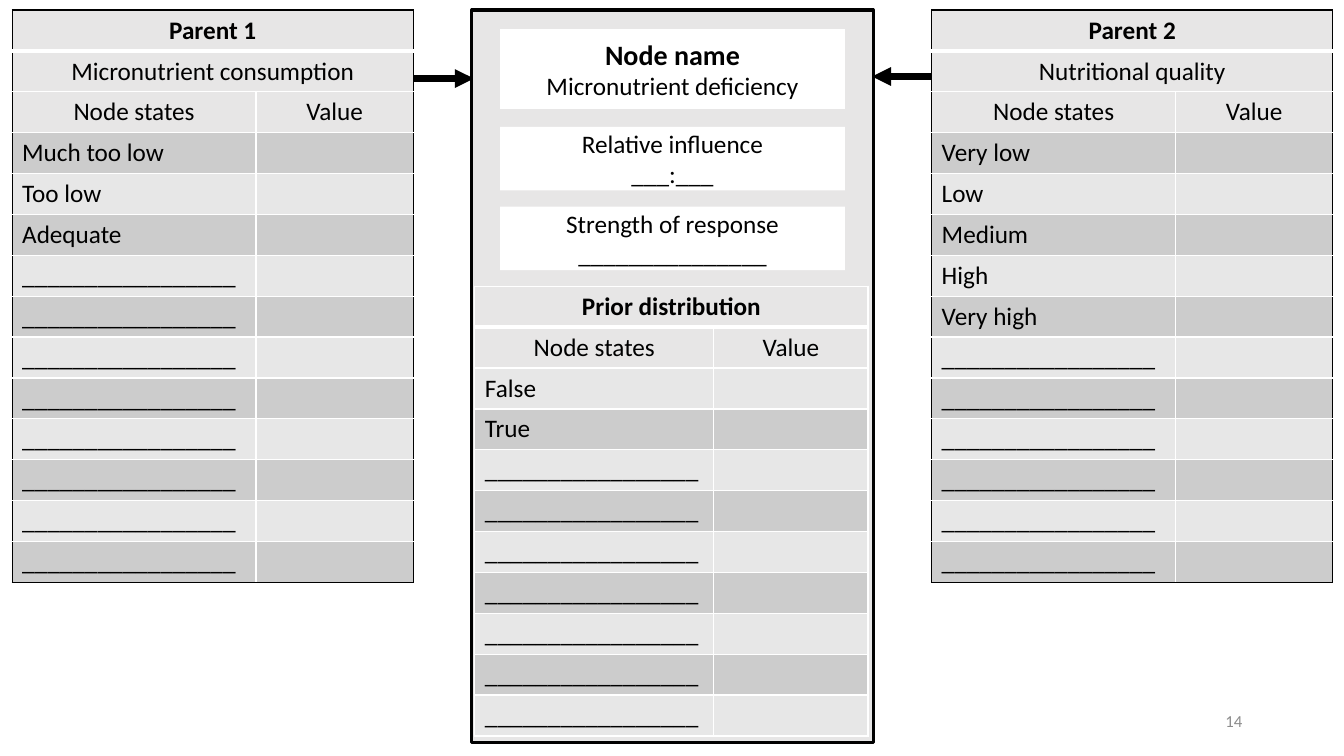
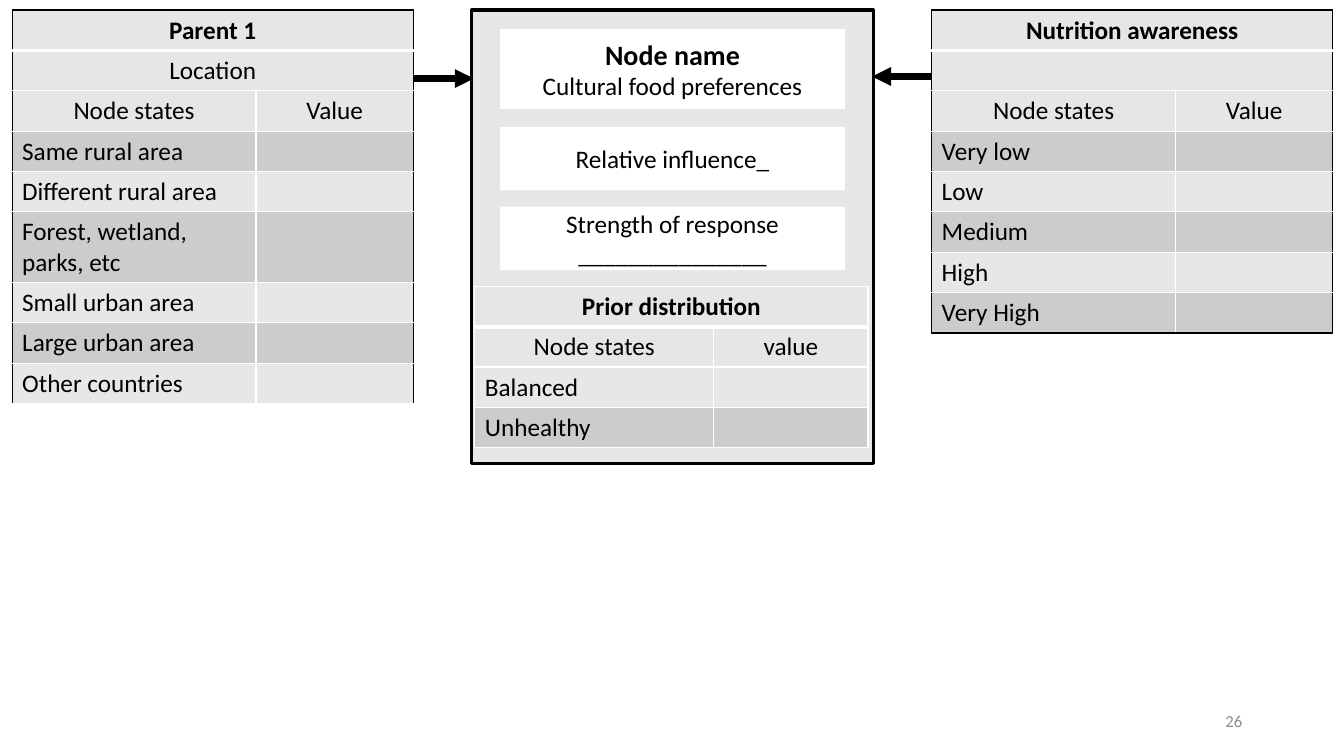
from lxml.etree import SubElement
from pptx import Presentation
from pptx.dml.color import RGBColor
from pptx.enum.shapes import MSO_CONNECTOR as Connector, MSO_SHAPE as Shape
from pptx.enum.text import MSO_ANCHOR as Anchor, PP_ALIGN as Align
from pptx.oxml.ns import qn
from pptx.util import Inches, Pt

COLORS = {
    "ink": "000000",
    "paper": "FFFFFF",
    "head": "E7E6E6",
    "light": "E7E7E7",
    "dark": "CCCCCC",
    "number": "8C8C8C",
}
FONT = "Calibri"
TOP = 0.1
PANEL_WIDTH = 3.98
PANEL_LEFTS = [0.12 + 4.56 * i for i in range(3)]
ROW_HEIGHT = 0.4
BLANK = "_" * 17


def rgb(name):
    return RGBColor.from_string(COLORS[name])


def write(paragraph, text, size=18, bold=False, color="ink", align=Align.CENTER):
    paragraph.alignment = align
    paragraph.font.size = Pt(size)
    if text:
        run = paragraph.add_run()
        run.text = text
        run.font.name = FONT
        run.font.size = Pt(size)
        run.font.bold = bold
        run.font.color.rgb = rgb(color)


def set_border(cell, **sides):
    """Draw cell edges; each side (L, R, T, B) is a (color, points) pair."""
    properties = cell._tc.get_or_add_tcPr()
    for side in "LRTB":
        color, points = sides[side]
        edge = SubElement(properties, qn(f"a:ln{side}"), w=str(Pt(points)))
        fill = SubElement(edge, qn("a:solidFill"))
        SubElement(fill, qn("a:srgbClr"), val=COLORS[color])


class NodeDeck:
    def __init__(self):
        self.deck = Presentation()
        self.deck.slide_width = Inches(13.33)
        self.deck.slide_height = Inches(7.5)
        self.slide = None

    def new_slide(self):
        self.slide = self.deck.slides.add_slide(self.deck.slide_layouts[6])

    def box(self, left, top, width, height, fill, outline=None):
        box = self.slide.shapes.add_shape(
            Shape.RECTANGLE, Inches(left), Inches(top), Inches(width), Inches(height))
        box.shadow.inherit = False
        box.fill.solid()
        box.fill.fore_color.rgb = rgb(fill)
        if outline:
            box.line.color.rgb = rgb("ink")
            box.line.width = Pt(outline)
        else:
            box.line.fill.background()
        return box

    def card(self, top, height, lines):
        """White box in the centre panel; lines are (text, format) pairs."""
        card = self.box(PANEL_LEFTS[1] + 0.28, top, 3.42, height, "paper")
        frame = card.text_frame
        frame.word_wrap = True
        frame.vertical_anchor = Anchor.MIDDLE
        for i, (text, style) in enumerate(lines):
            write(frame.add_paragraph() if i else frame.paragraphs[0], text, **style)

    def arrow(self, start, end):
        arrow = self.slide.shapes.add_connector(
            Connector.ELBOW, *(Inches(value) for value in start + end))
        arrow.line.color.rgb = rgb("ink")
        arrow.line.width = Pt(4.5)
        properties = arrow.element.spPr
        SubElement(properties.find(qn("a:ln")), qn("a:tailEnd"), type="triangle")
        SubElement(properties, qn("a:effectLst"))

    def state_table(self, left, top, widths, headings, states, edge="paper", closed=True):
        """Headings span both columns, then come the column titles and the states.

        An open table keeps a white bottom edge.
        """
        titles_row = len(headings) - 1
        rows = [*headings, *((state, "") for state in states)]
        table = self.slide.shapes.add_table(
            len(rows), 2, Inches(left), Inches(top),
            Inches(sum(widths)), Inches(ROW_HEIGHT * len(rows))).table
        table.first_row = table.horz_banding = False
        for column, width in zip(table.columns, widths):
            column.width = Inches(width)
        for r, texts in enumerate(rows):
            table.rows[r].height = Inches(ROW_HEIGHT)
            merged = len(texts) == 1
            if merged:
                table.cell(r, 0).merge(table.cell(r, 1))
            is_heading = r <= titles_row
            fill = "head" if is_heading else "dark" if r % 2 else "light"
            last = r == len(rows) - 1
            for c in range(2):
                cell = table.cell(r, c)
                set_border(
                    cell,
                    L=(edge if c == 0 else "paper", 1),
                    R=(edge if c or merged else "paper", 1),
                    T=(edge if r == 0 else "paper", 3 if r == 1 else 1),
                    B=(edge if last and closed else "paper", 3 if r == 0 else 1))
                cell.fill.solid()
                cell.fill.fore_color.rgb = rgb(fill)
                if c < len(texts):
                    write(cell.text_frame.paragraphs[0], texts[c], bold=r == 0,
                          align=Align.CENTER if is_heading else Align.LEFT)

    def parent(self, left, title, subject, states, closed=True):
        headings = [(title,), (subject,), ("Node states", "Value")]
        self.state_table(left, TOP, (2.42, 1.56), headings, states, "ink", closed)

    def page_number(self, number):
        frame = self.slide.shapes.add_textbox(
            Inches(9.42), Inches(6.95), Inches(3), Inches(0.4)).text_frame
        frame.word_wrap = True
        frame.vertical_anchor = Anchor.MIDDLE
        write(frame.paragraphs[0], str(number), size=12, color="number", align=Align.RIGHT)

    def node_slide(self, number, node, influence, panel_height, parents, prior, value_title):
        self.new_slide()
        self.arrow((3.13, 0.85), (4.7, 0.78))
        self.arrow((10.03, 0.78), (8.65, 0.76))
        center = PANEL_LEFTS[1]
        self.box(center, TOP, PANEL_WIDTH, panel_height, "head", outline=2.25)
        self.card(0.29, 0.79, [("Node name", {"size": 20, "bold": True}), (node, {})])
        self.card(1.26, 0.63, [(line, {}) for line in influence])
        self.card(2.05, 0.63, [("Strength of response", {}), ("_" * 15, {})])
        for left, parent in zip(PANEL_LEFTS[::2], parents):
            self.parent(left, **parent)
        headings = [("Prior distribution",), ("Node states", value_title)]
        self.state_table(center + 0.03, 2.84, (2.37, 1.53), headings, prior)
        self.page_number(number)


def main():
    nodes = NodeDeck()
    nodes.node_slide(
        14, "Micronutrient deficiency", ["Relative influence", "___:___"], 7.27,
        parents=[
            {"title": "Parent 1", "subject": "Micronutrient consumption",
             "states": ["Much too low", "Too low", "Adequate"] + [BLANK] * 8},
            {"title": "Parent 2", "subject": "Nutritional quality",
             "states": ["Very low", "Low", "Medium", "High", "Very high"] + [BLANK] * 6},
        ],
        prior=["False", "True"] + [BLANK] * 7, value_title="Value")
    nodes.node_slide(
        26, "Cultural food preferences", ["Relative influence_"], 4.5,
        parents=[
            {"title": "Parent 1", "subject": "Location", "closed": False,
             "states": ["Same rural area", "Different rural area",
                        "Forest, wetland, parks, etc", "Small urban area",
                        "Large urban area", "Other countries"]},
            {"title": "Nutrition awareness", "subject": "",
             "states": ["Very low", "Low", "Medium", "High", "Very High"]},
        ],
        prior=["Balanced", "Unhealthy"], value_title="value")
    nodes.deck.save("out.pptx")


if __name__ == "__main__":
    main()
